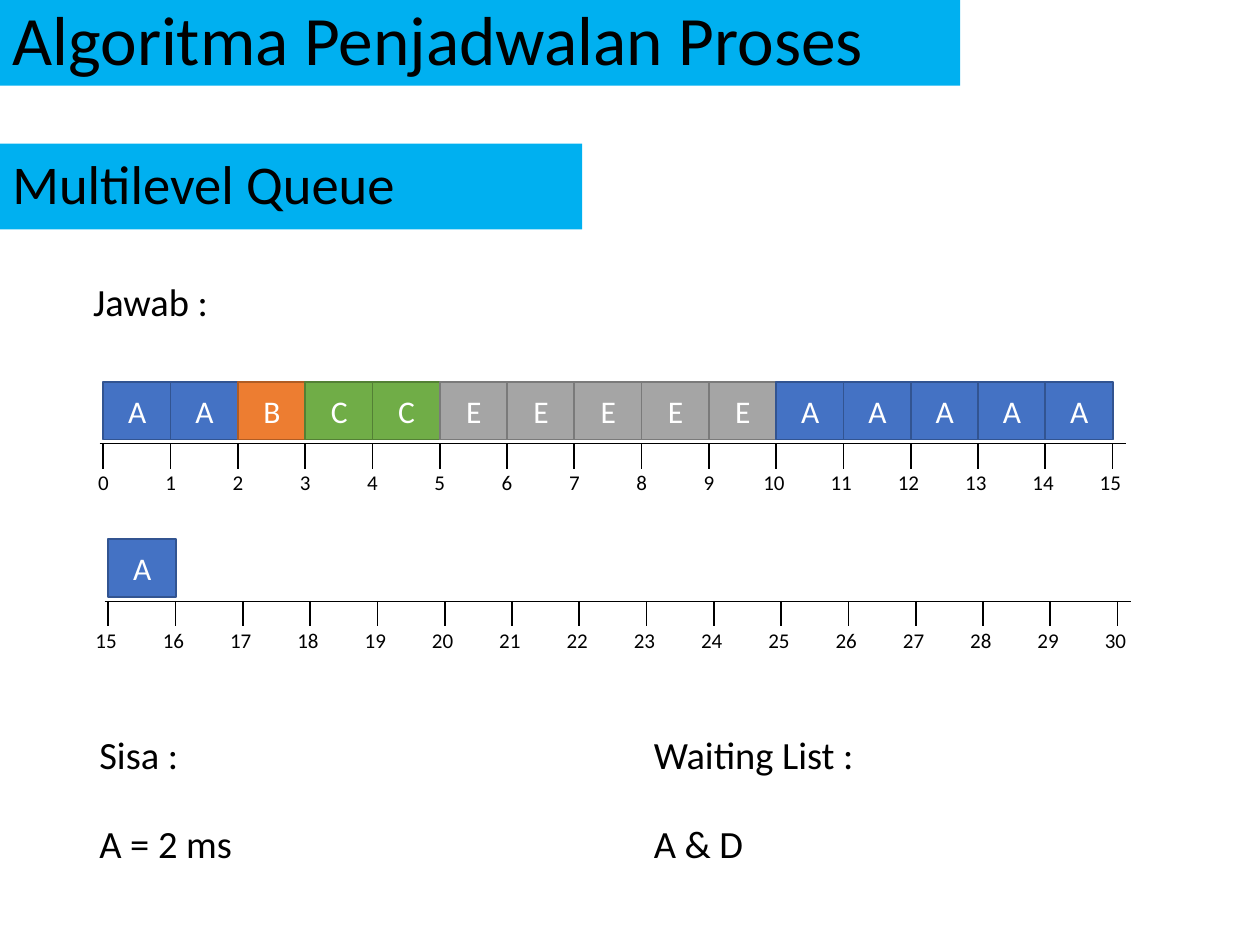
from pptx import Presentation
from pptx.dml.color import RGBColor
from pptx.enum.shapes import MSO_CONNECTOR, MSO_SHAPE
from pptx.enum.text import MSO_ANCHOR, MSO_AUTO_SIZE, PP_ALIGN
from pptx.oxml.ns import qn
from pptx.util import Inches, Pt
from lxml import etree

FONT = "Calibri"
COLORS = {
    "banner": "00B0F0",
    "text": "000000",
    "block_text": "FFFFFF",
}
# Process: (fill, outline)
PROCESS_COLORS = {
    "A": ("4472C4", "325491"),
    "B": ("ED7D31", "AF5C24"),
    "C": ("70AD47", "538035"),
    "E": ("A5A5A5", "7A7A7A"),
}
TICK_COUNT = 16
TICK_STEP = 0.534
BLOCK_WIDTH, BLOCK_HEIGHT = 0.54, 0.46


def rgb(value):
    return RGBColor.from_string(value)


def set_text(shape, text, size, color, alignment):
    paragraph = shape.text_frame.paragraphs[0]
    paragraph.text = text
    paragraph.alignment = alignment
    paragraph.font.name = FONT
    paragraph.font.size = Pt(size)
    paragraph.font.color.rgb = rgb(color)
    return paragraph


def add_rectangle(slide, left, top, width, height, fill):
    shape = slide.shapes.add_shape(
        MSO_SHAPE.RECTANGLE, Inches(left), Inches(top), Inches(width), Inches(height))
    shape.shadow.inherit = False
    shape.fill.solid()
    shape.fill.fore_color.rgb = rgb(fill)
    shape.text_frame.vertical_anchor = MSO_ANCHOR.MIDDLE
    return shape


def add_banner(slide, text, top, width, size):
    banner = add_rectangle(slide, 0, top, width, 0.68, COLORS["banner"])
    banner.line.fill.background()
    paragraph = set_text(banner, text, size, COLORS["text"], PP_ALIGN.LEFT)
    paragraph.line_spacing = 0.9


def add_block(slide, process, left, top):
    fill, outline = PROCESS_COLORS[process]
    block = add_rectangle(slide, left, top, BLOCK_WIDTH, BLOCK_HEIGHT, fill)
    block.line.color.rgb = rgb(outline)
    block.line.width = Pt(1)
    set_text(block, process, 18, COLORS["block_text"], PP_ALIGN.CENTER)


def add_text(slide, text, left, top, width, height, size, alignment=PP_ALIGN.LEFT):
    box = slide.shapes.add_textbox(
        Inches(left), Inches(top), Inches(width), Inches(height))
    box.text_frame.word_wrap = True
    box.text_frame.auto_size = MSO_AUTO_SIZE.SHAPE_TO_FIT_TEXT
    set_text(box, text, size, COLORS["text"], alignment)


def add_line(slide, start_x, start_y, end_x, end_y, width):
    line = slide.shapes.add_connector(
        MSO_CONNECTOR.STRAIGHT,
        Inches(start_x), Inches(start_y), Inches(end_x), Inches(end_y))
    line.line.color.rgb = rgb(COLORS["text"])
    line.line.width = Pt(width)
    etree.SubElement(line._element.spPr, qn("a:effectLst"))


def add_timeline(slide, processes, first_time, left, axis_y):
    """Draw one Gantt row: axis, ticks, time labels and one block per unit."""
    add_line(slide, left - 0.03, axis_y, left + 8.12, axis_y, 0.5)
    for index in range(TICK_COUNT):
        tick_x = left + index * TICK_STEP
        label = str(first_time + index)
        offset, width = (0.14, 0.33) if len(label) == 1 else (0.2, 0.4)
        add_line(slide, tick_x, axis_y, tick_x, axis_y + 0.2, 1)
        add_text(slide, label, tick_x - offset, axis_y + 0.16, width, 0.3, 12)
    for index, process in enumerate(processes):
        add_block(slide, process, left + index * TICK_STEP, axis_y - 0.49)


def main():
    presentation = Presentation()
    presentation.slide_width = Inches(10)
    presentation.slide_height = Inches(7.5)
    slide = presentation.slides.add_slide(presentation.slide_layouts[6])

    add_banner(slide, "Algoritma Penjadwalan Proses", 0, 7.62, 39.6)
    add_banner(slide, "Multilevel Queue", 1.14, 4.62, 31.2)

    add_timeline(slide, "AABCCEEEEEAAAAA", 0, 0.82, 3.52)
    add_timeline(slide, "A", 15, 0.86, 4.77)

    for text, left, top, width in (
        ("Jawab :", 0.64, 2.16, 1.98),
        ("Sisa :", 0.69, 5.75, 1.98),
        ("Waiting List :", 5.09, 5.75, 1.98),
        ("A = 2 ms", 0.69, 6.46, 2.85),
        ("A & D", 5.09, 6.46, 1.98),
    ):
        add_text(slide, text, left, top, width, 0.47, 22, PP_ALIGN.JUSTIFY)

    presentation.save("out.pptx")


if __name__ == "__main__":
    main()
